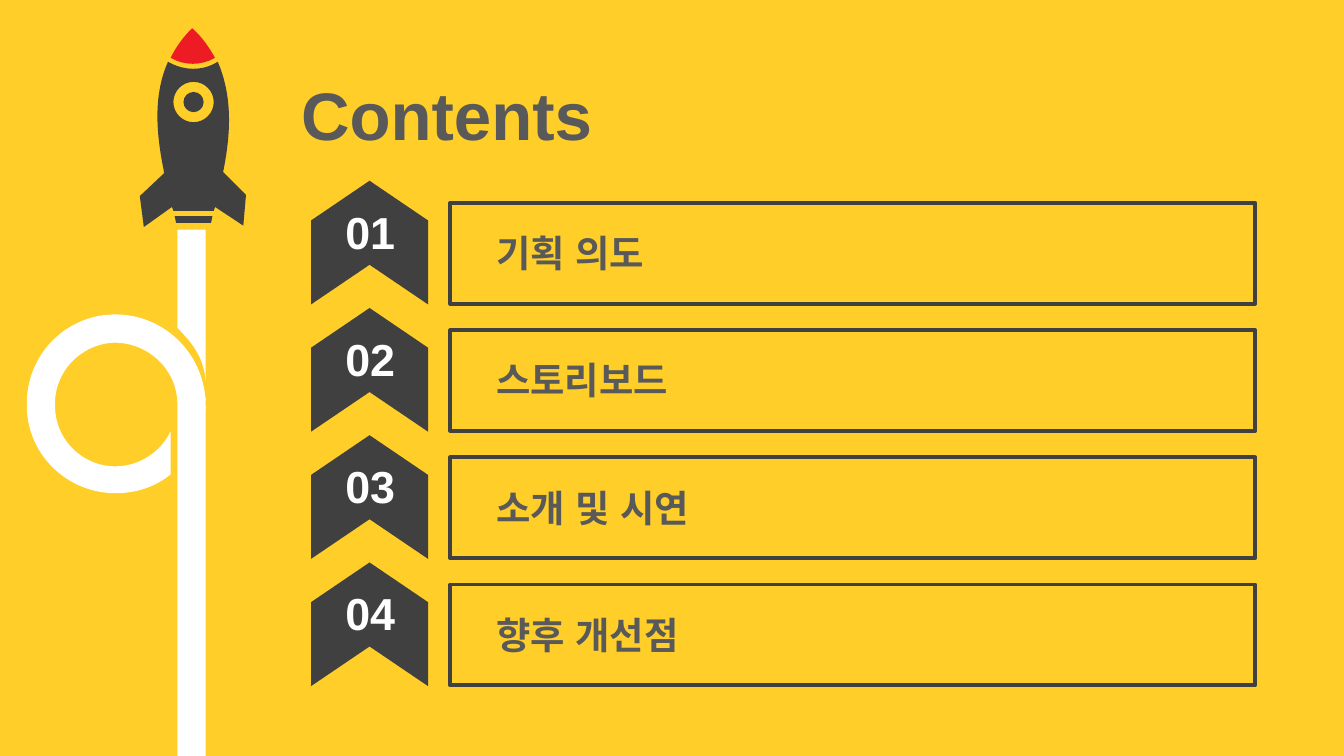
from lxml.etree import SubElement
from pptx import Presentation
from pptx.dml.color import RGBColor
from pptx.enum.shapes import MSO_SHAPE as Shape
from pptx.enum.text import MSO_ANCHOR as Anchor, PP_ALIGN as Align
from pptx.oxml.ns import qn
from pptx.util import Inches, Pt

COLORS = {
    "background": "FFCE29",
    "dark": "404040",
    "text": "595959",
    "white": "FFFFFF",
    "nose": "ED1C24",
}
FONT = "Arial"
TOPICS = ["기획 의도", "스토리보드", "소개 및 시연", "향후 개선점"]
FIRST_TOP, LAST_TOP = 1.51, 4.35
ROW_STEP = (LAST_TOP - FIRST_TOP) / (len(TOPICS) - 1)


def color(name):
    return RGBColor.from_string(COLORS[name])


def write(shape, text, size=20, ink="text", align=Align.LEFT, indent=0.1):
    frame = shape.text_frame
    frame.word_wrap = True
    frame.vertical_anchor = Anchor.MIDDLE
    frame.margin_left = Inches(indent)
    paragraph = frame.paragraphs[0]
    paragraph.alignment = align
    run = paragraph.add_run()
    run.text = text
    font = run.font
    font.name, font.size, font.bold = FONT, Pt(size), True
    font.color.rgb = color(ink)
    # East Asian text takes the same font
    SubElement(run._r.get_or_add_rPr(), qn("a:ea"), typeface=FONT)


def bend(shape, contours):
    """Turn the straight segments of six-number steps into Bezier curves."""
    outline = shape._element.find(".//" + qn("a:path"))
    segments = [node for node in outline if node.tag != qn("a:close")]
    steps = [step for contour in contours for step in contour]
    for segment, step in zip(segments, steps):
        if len(step) == 2:
            continue
        segment.tag = qn("a:cubicBezTo")
        for node in list(segment):
            segment.remove(node)
        for x, y in zip(step[::2], step[1::2]):
            SubElement(segment, qn("a:pt"), x=str(Inches(x) - shape.left),
                       y=str(Inches(y) - shape.top))


def circle(x, y, radius):
    k = radius * 0.55
    return [
        (x, y - radius),
        (x + k, y - radius, x + radius, y - k, x + radius, y),
        (x + radius, y + k, x + k, y + radius, x, y + radius),
        (x - k, y + radius, x - radius, y + k, x - radius, y),
        (x - radius, y - k, x - k, y - radius, x, y - radius),
    ]


class Board:
    def __init__(self, slide):
        self.slide = slide
        slide.background.fill.solid()
        slide.background.fill.fore_color.rgb = color("background")

    def paint(self, shape, fill=None, line=None):
        shape.shadow.inherit = False
        if fill:
            shape.fill.solid()
            shape.fill.fore_color.rgb = color(fill)
        else:
            shape.fill.background()
        if line:
            shape.line.color.rgb = color(line)
            shape.line.width = Pt(2)
        else:
            shape.line.fill.background()
        return shape

    def shape(self, kind, box, fill=None, line=None):
        shape = self.slide.shapes.add_shape(kind, *map(Inches, box))
        return self.paint(shape, fill, line)

    def outline(self, contours, fill):
        """Draw contours of points (x, y) and curves (x1, y1, x2, y2, x, y)."""
        first, *others = [[tuple(map(Inches, step[-2:])) for step in contour]
                          for contour in contours]
        builder = self.slide.shapes.build_freeform(*first[0])
        builder.add_line_segments(first[1:], close=True)
        for points in others:
            builder.move_to(*points[0])
            builder.add_line_segments(points[1:], close=True)
        shape = builder.convert_to_shape()
        bend(shape, contours)
        return self.paint(shape, fill)

    def text(self, box, text, **style):
        write(self.slide.shapes.add_textbox(*map(Inches, box)), text, **style)

    def row(self, number, topic, top):
        self.shape(Shape.RECTANGLE, (3.35, top, 5.99, 0.75), line="dark")
        label = self.shape(Shape.ROUND_2_SAME_RECTANGLE, (3.57, top + 0.13, 5.51, 0.46))
        write(label, topic)
        arrow = self.shape(Shape.CHEVRON, (2.29, top - 0.14, 0.92, 0.87), fill="dark")
        arrow.adjustments[0] = 0.339
        arrow.rotation = 270
        self.text((2.45, top - 0.04, 0.61, 0.5), f"{number:02}",
                  size=24, ink="white", align=Align.CENTER)


def draw_trail(board):
    # Loop, with the small sliver where it passes the stem
    sliver = [(1.48, 3.02), (1.53, 3.02), (1.53, 3.1, 1.51, 3.18, 1.48, 3.26)]
    loop = [
        (0.84, 2.34), (1.21, 2.33, 1.51, 2.62, 1.53, 2.98), (1.32, 2.99),
        (1.31, 2.74, 1.1, 2.55, 0.85, 2.55), (0.6, 2.56, 0.4, 2.77, 0.41, 3.02),
        (0.41, 3.27, 0.61, 3.47, 0.86, 3.47), (1.04, 3.47, 1.2, 3.36, 1.27, 3.21),
        (1.27, 3.53), (1.16, 3.62, 1.02, 3.67, 0.86, 3.67),
        (0.5, 3.67, 0.2, 3.38, 0.2, 3.02), (0.19, 2.65, 0.48, 2.35, 0.84, 2.34),
    ]
    board.outline([sliver, loop], "white")
    # Upper stem
    board.outline([[(1.32, 1.71), (1.53, 1.71), (1.53, 2.09, 1.53, 2.47, 1.53, 2.84),
                    (1.52, 2.67, 1.44, 2.56, 1.32, 2.44), (1.32, 1.71)]], "white")
    # Lower stem
    board.shape(Shape.RECTANGLE, (1.32, 2.96, 0.21, 2.67), fill="white")


def draw_rocket(board):
    nozzle = [(1.3, 1.61), (1.58, 1.61), (1.58, 1.63, 1.57, 1.64, 1.57, 1.66),
              (1.31, 1.66)]
    body = [
        (1.25, 0.46), (1.37, 0.53, 1.51, 0.53, 1.62, 0.46),
        (1.74, 0.74, 1.71, 1.03, 1.66, 1.28), (1.83, 1.45), (1.81, 1.68),
        (1.6, 1.54), (1.59, 1.57), (1.29, 1.57), (1.29, 1.56, 1.28, 1.55, 1.28, 1.54),
        (1.07, 1.69), (1.04, 1.46), (1.22, 1.29), (1.22, 1.28),
        (1.17, 1.03, 1.13, 0.73, 1.25, 0.46),
    ]
    window = [circle(1.44, 0.76, radius) for radius in (0.075, 0.15)]
    board.outline([nozzle, *window, body], "dark")
    # Nose cone
    board.outline([[(1.43, 0.21), (1.51, 0.28, 1.56, 0.36, 1.6, 0.43),
                    (1.5, 0.49, 1.37, 0.49, 1.27, 0.43),
                    (1.31, 0.35, 1.36, 0.28, 1.43, 0.21)]], "nose")


def main():
    presentation = Presentation()
    presentation.slide_width, presentation.slide_height = Inches(10), Inches(5.625)
    board = Board(presentation.slides.add_slide(presentation.slide_layouts[6]))

    draw_trail(board)
    draw_rocket(board)
    board.text((0, 0.53, 10, 0.63), "Contents", size=36, indent=2.24)
    for index, topic in enumerate(TOPICS):
        board.row(index + 1, topic, FIRST_TOP + index * ROW_STEP)

    presentation.save("out.pptx")


if __name__ == "__main__":
    main()
